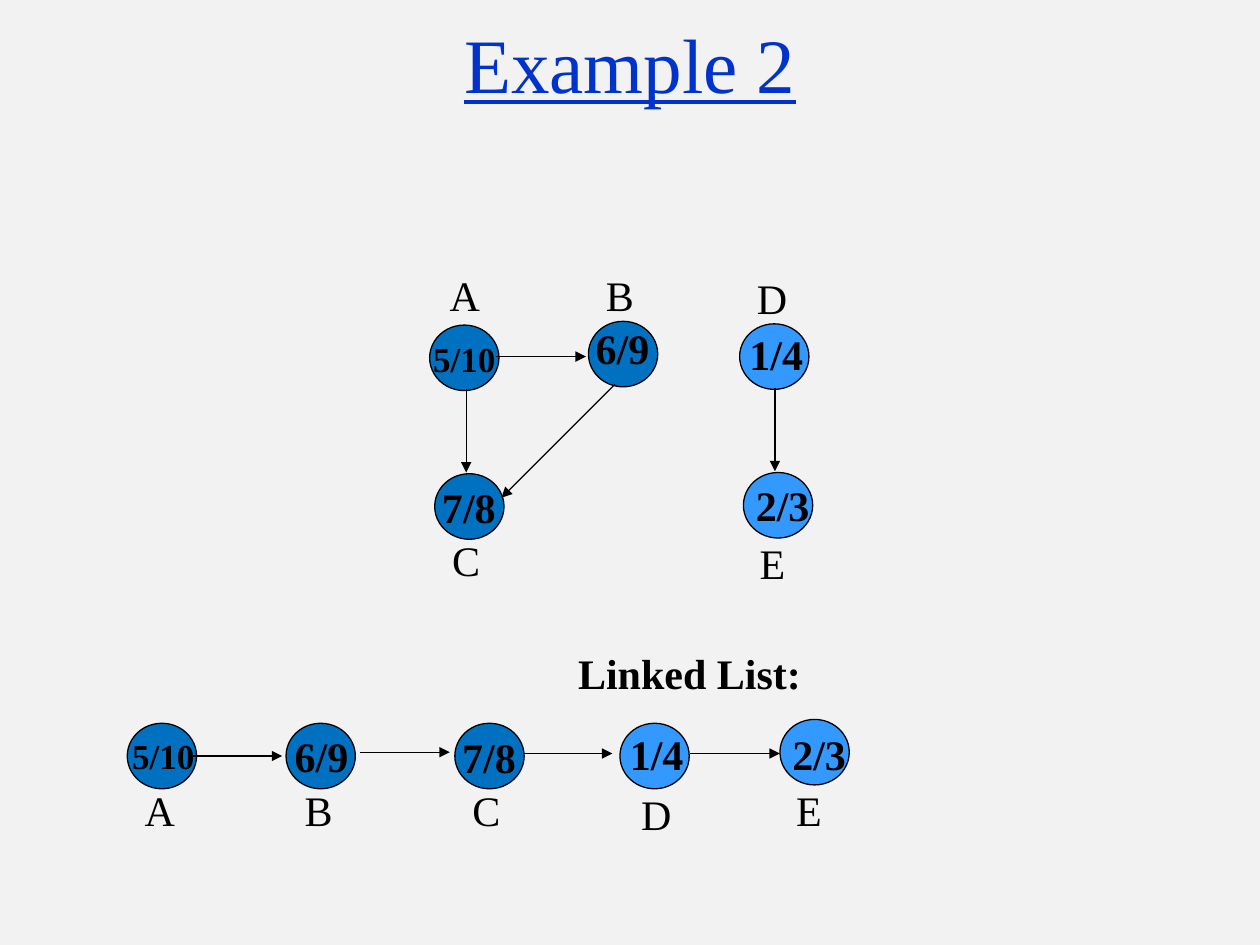
from pptx import Presentation
from pptx.dml.color import RGBColor
from pptx.enum.shapes import MSO_CONNECTOR as Connector, MSO_SHAPE as Shape
from pptx.enum.text import MSO_ANCHOR as Anchor, MSO_AUTO_SIZE as AutoSize, PP_ALIGN as Align
from pptx.oxml.ns import qn
from pptx.util import Inches, Pt
from lxml import etree

BACKGROUND = RGBColor(0xF2, 0xF2, 0xF2)
TITLE_BLUE = RGBColor(0x00, 0x33, 0xCC)
DARK_BLUE = RGBColor(0x00, 0x70, 0xC0)
LIGHT_BLUE = RGBColor(0x33, 0x99, 0xFF)
BLACK = RGBColor(0x00, 0x00, 0x00)
FONT = "Times New Roman"

CIRCLE_SIZE = (0.55, 0.52)
LETTER_WIDTHS = {"A": 0.44, "B": 0.42, "C": 0.42, "D": 0.44, "E": 0.4}

# Each vertex: start/finish times and colour
VERTICES = {
    "A": ("5/10", DARK_BLUE),
    "B": ("6/9", DARK_BLUE),
    "C": ("7/8", DARK_BLUE),
    "D": ("1/4", LIGHT_BLUE),
    "E": ("2/3", LIGHT_BLUE),
}

# Each node: letter, then left and top of its circle, times and letter
GRAPH_NODES = [
    ("A", (3.41, 2.58), (3.34, 2.63), (3.47, 2.09)),
    ("B", (4.67, 2.55), (4.63, 2.51), (4.71, 2.09)),
    ("C", (3.45, 3.76), (3.41, 3.77), (3.49, 4.19)),
    ("D", (5.87, 2.57), (5.85, 2.56), (5.91, 2.11)),
    ("E", (5.9, 3.75), (5.9, 3.76), (5.93, 4.22)),
]
LIST_NODES = [
    ("A", (1.01, 5.74), (0.95, 5.78), (1.05, 6.18)),
    ("B", (2.27, 5.74), (2.24, 5.75), (2.32, 6.18)),
    ("C", (3.61, 5.74), (3.57, 5.76), (3.65, 6.18)),
    ("D", (4.92, 5.74), (4.9, 5.73), (4.99, 6.21)),
    ("E", (6.19, 5.71), (6.19, 5.73), (6.22, 6.18)),
]

# Arrows: start and end points
GRAPH_EDGES = [
    ((3.94, 2.83), (4.65, 2.83)),
    ((3.7, 3.09), (3.7, 3.75)),
    ((4.88, 3.05), (3.98, 3.95)),
    ((6.15, 3.08), (6.15, 3.74)),
]
LINK_LENGTH = 0.71
LINK_STARTS = [(1.53, 6), (2.86, 5.97), (4.15, 5.98), (5.48, 5.98)]


def add_text(page, text, place, size=24, bold=False, color=BLACK):
    box = page.shapes.add_textbox(*map(Inches, place))
    frame = box.text_frame
    frame.text = text
    frame.word_wrap = False
    frame.auto_size = AutoSize.SHAPE_TO_FIT_TEXT
    font = frame.paragraphs[0].runs[0].font
    font.name, font.size, font.bold = FONT, Pt(size), bold
    font.color.rgb = color
    return box


def add_title(page, text):
    box = add_text(page, text, (0, 0, 10, 1), size=44, color=TITLE_BLUE)
    frame = box.text_frame
    frame.auto_size = AutoSize.NONE
    frame.word_wrap = True
    frame.vertical_anchor = Anchor.MIDDLE
    para = frame.paragraphs[0]
    para.alignment = Align.CENTER
    para.runs[0].font.underline = True


def add_node(page, letter, circle_at, times_at, letter_at):
    times, color = VERTICES[letter]
    circle = page.shapes.add_shape(Shape.OVAL, *map(Inches, circle_at + CIRCLE_SIZE))
    circle.shadow.inherit = False
    circle.fill.solid()
    circle.fill.fore_color.rgb = color
    circle.line.color.rgb = BLACK
    circle.line.width = Pt(0.75)
    # Longer times are set smaller so that they fit the circle
    size, width, height = (20, 0.7, 0.44) if len(times) > 3 else (24, 0.63, 0.5)
    add_text(page, times, times_at + (width, height), size, bold=True)
    add_text(page, letter, letter_at + (LETTER_WIDTHS[letter], 0.5))


def add_arrow(page, start, end):
    arrow = page.shapes.add_connector(Connector.STRAIGHT, *map(Inches, start + end))
    arrow.line.color.rgb = BLACK
    arrow.line.width = Pt(0.75)
    properties = arrow.element.spPr
    line = properties.find(qn("a:ln"))
    etree.SubElement(line, qn("a:tailEnd"), type="triangle")
    etree.SubElement(properties, qn("a:effectLst"))


def main():
    deck = Presentation()
    deck.slide_width, deck.slide_height = Inches(10), Inches(7.5)
    page = deck.slides.add_slide(deck.slide_layouts[6])
    page.background.fill.solid()
    page.background.fill.fore_color.rgb = BACKGROUND

    # Headings
    add_title(page, "Example 2")
    add_text(page, "Linked List:", (4.49, 5.09, 1.97, 0.5), bold=True)

    # Graph and linked list
    for node in GRAPH_NODES + LIST_NODES:
        add_node(page, *node)
    links = [((x, y), (x + LINK_LENGTH, y)) for x, y in LINK_STARTS]
    for start, end in GRAPH_EDGES + links:
        add_arrow(page, start, end)

    deck.save("out.pptx")


if __name__ == "__main__":
    main()
